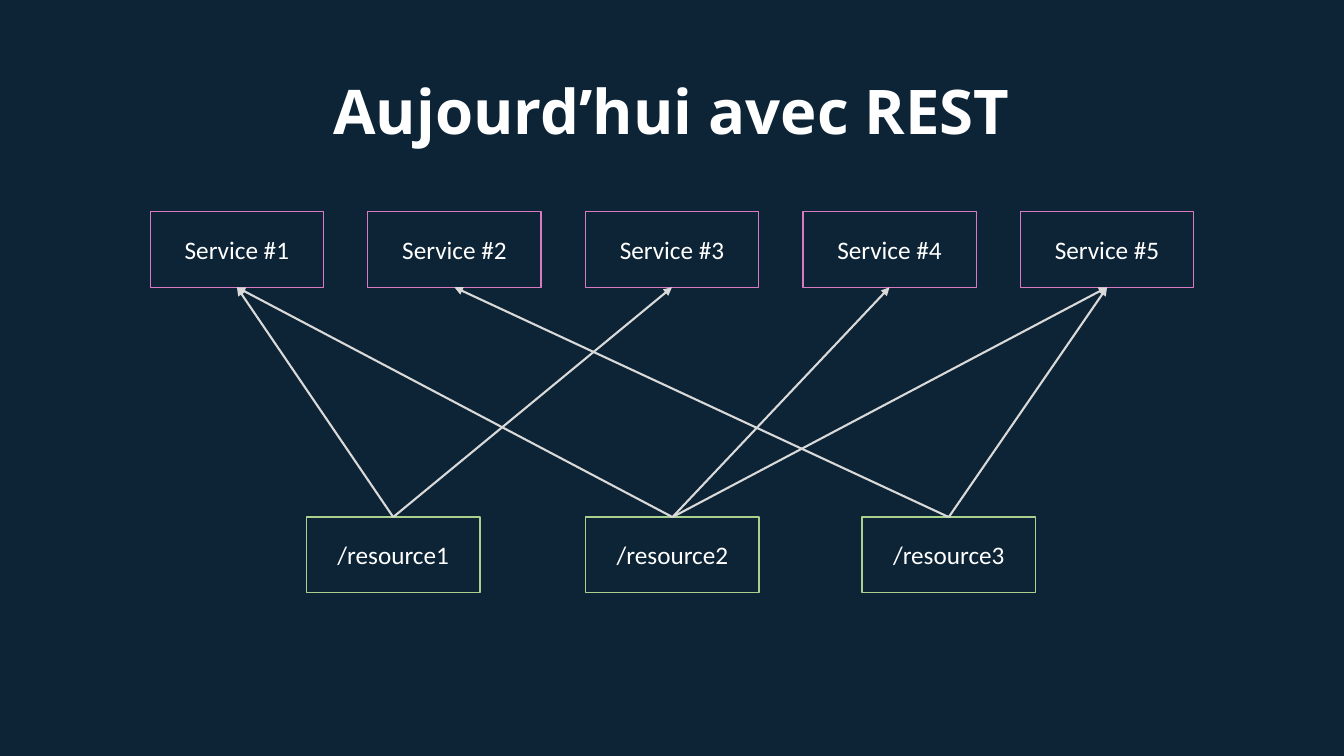
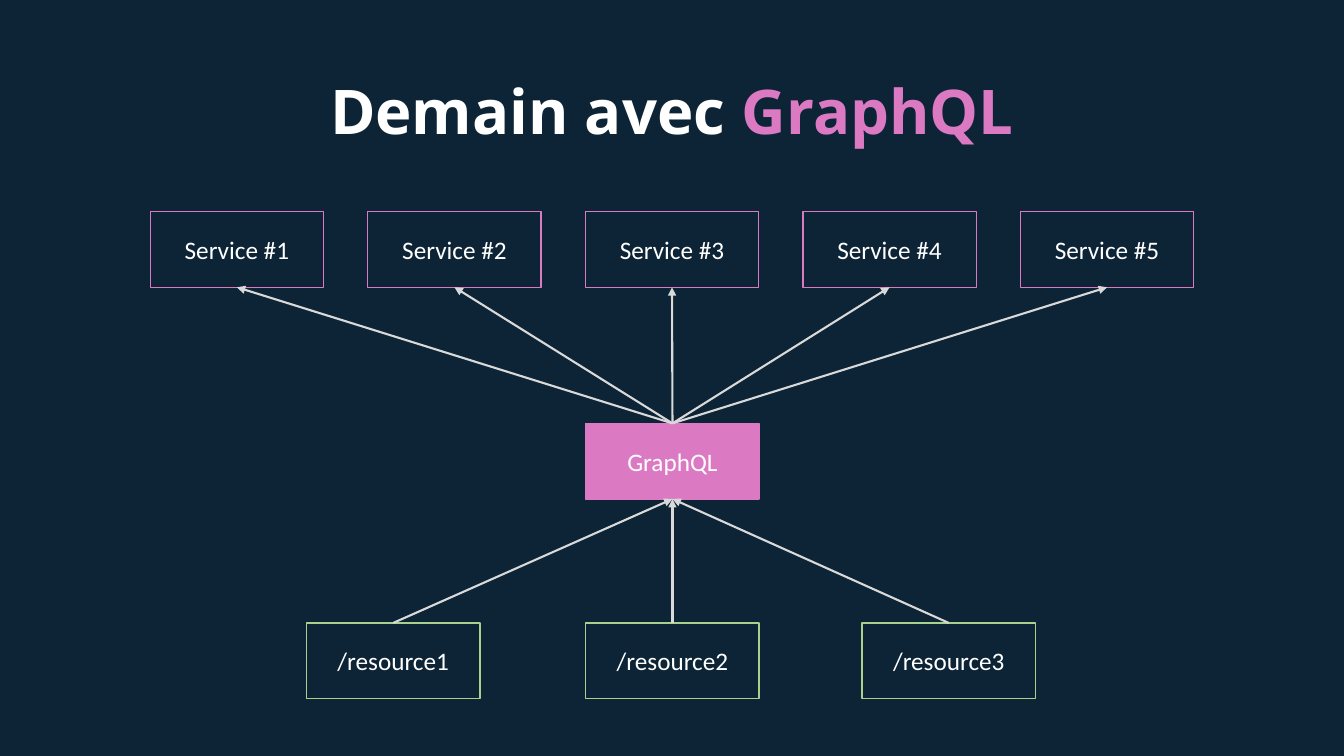
import pptx
import pptx.util
import pptx.dml.color
import pptx.enum.shapes
import pptx.enum.text
import pptx.oxml.ns
from lxml import etree

Inches, Pt = pptx.util.Inches, pptx.util.Pt
RGB = pptx.dml.color.RGBColor.from_string
qn = pptx.oxml.ns.qn

# Shared look
COLORS = {"back": "0C2435", "text": "FFFFFF", "pink": "DB7AC3",
          "green": "A9D18E", "arrow": "D9D9D9"}
BOX_W, BOX_H = 1.72, 0.75
SERVICE_TOP, GRAPHQL_TOP = 2.1, 4.2
SERVICE_FIRST, SERVICE_LAST, SERVICE_COUNT = 1.49, 10.12, 5
SERVICE_STEP = (SERVICE_LAST - SERVICE_FIRST) / (SERVICE_COUNT - 1)
RESOURCE_LEFTS = [3.04, 5.81, 8.55]
GRAPHQL_LEFT = RESOURCE_LEFTS[1]


def add_text(s, runs, left, top, width=BOX_W, height=BOX_H, size=18,
             font="Calibri", bold=None, spacing=None, line=None, fill=None):
    """Centred text from (text, colour) runs, in a rectangle if line is set."""
    at = [Inches(v) for v in (left, top, width, height)]
    if line:
        sp = s.shapes.add_shape(pptx.enum.shapes.MSO_SHAPE.RECTANGLE, *at)
        sp.shadow.inherit = False
        sp.line.color.rgb = RGB(COLORS[line])
        sp.line.width = Pt(1)
        if fill:
            sp.fill.solid()
            sp.fill.fore_color.rgb = RGB(COLORS[fill])
        else:
            sp.fill.background()
    else:
        sp = s.shapes.add_textbox(*at)
    tf = sp.text_frame
    tf.word_wrap = True
    tf.vertical_anchor = pptx.enum.text.MSO_ANCHOR.MIDDLE
    p = tf.paragraphs[0]
    p.alignment = pptx.enum.text.PP_ALIGN.CENTER
    p.line_spacing = spacing
    for text, color in runs:
        r = p.add_run()
        r.text = text
        r.font.name, r.font.size, r.font.bold = font, Pt(size), bold
        r.font.color.rgb = RGB(COLORS[color])
    return sp


def add_arrow(s, lower, upper):
    """Arrow from the top of the lower box to the bottom of the upper one."""
    c = s.shapes.add_connector(pptx.enum.shapes.MSO_CONNECTOR.STRAIGHT, 0, 0, 0, 0)
    c.begin_connect(lower, 0)
    c.end_connect(upper, 2)
    c.line.color.rgb = RGB(COLORS["arrow"])
    c.line.width = Pt(1.5)
    props = c._element.spPr
    etree.SubElement(props.find(qn("a:ln")), qn("a:tailEnd"), type="triangle")
    etree.SubElement(props, qn("a:effectLst"))


prs = pptx.Presentation()
prs.slide_width, prs.slide_height = Inches(13.33), Inches(7.5)
back = prs.slide_master.background.fill
back.solid()
back.fore_color.rgb = RGB(COLORS["back"])

# Links are (resource, service) pairs; without them all go through GraphQL
slides = [
    {"title": [("Aujourd’hui avec REST", "text")], "resource_top": 5.13,
     "links": [(1, 1), (1, 3), (2, 5), (3, 2), (2, 4), (2, 1), (3, 5)]},
    {"title": [("Demain avec ", "text"), ("GraphQL", "pink")],
     "resource_top": 6.18, "links": None},
]

for content in slides:
    s = prs.slides.add_slide(prs.slide_layouts[6])
    add_text(s, content["title"], 0, 0, 13.33, 2.27, size=44,
             font="Open Sans", bold=True, spacing=0.9)

    # Rows of services and resources
    services = [add_text(s, [(f"Service #{i + 1}", "text")],
                         SERVICE_FIRST + i * SERVICE_STEP, SERVICE_TOP, line="pink")
                for i in range(SERVICE_COUNT)]
    resources = [add_text(s, [(f"/resource{i}", "text")], left,
                          content["resource_top"], line="green")
                 for i, left in enumerate(RESOURCE_LEFTS, 1)]

    # Arrows, direct or through the GraphQL box
    if content["links"]:
        for resource, service in content["links"]:
            add_arrow(s, resources[resource - 1], services[service - 1])
    else:
        graphql = add_text(s, [("GraphQL", "text")], GRAPHQL_LEFT, GRAPHQL_TOP,
                           line="pink", fill="pink")
        for service in services:
            add_arrow(s, graphql, service)
        for resource in resources:
            add_arrow(s, resource, graphql)

prs.save("out.pptx")
